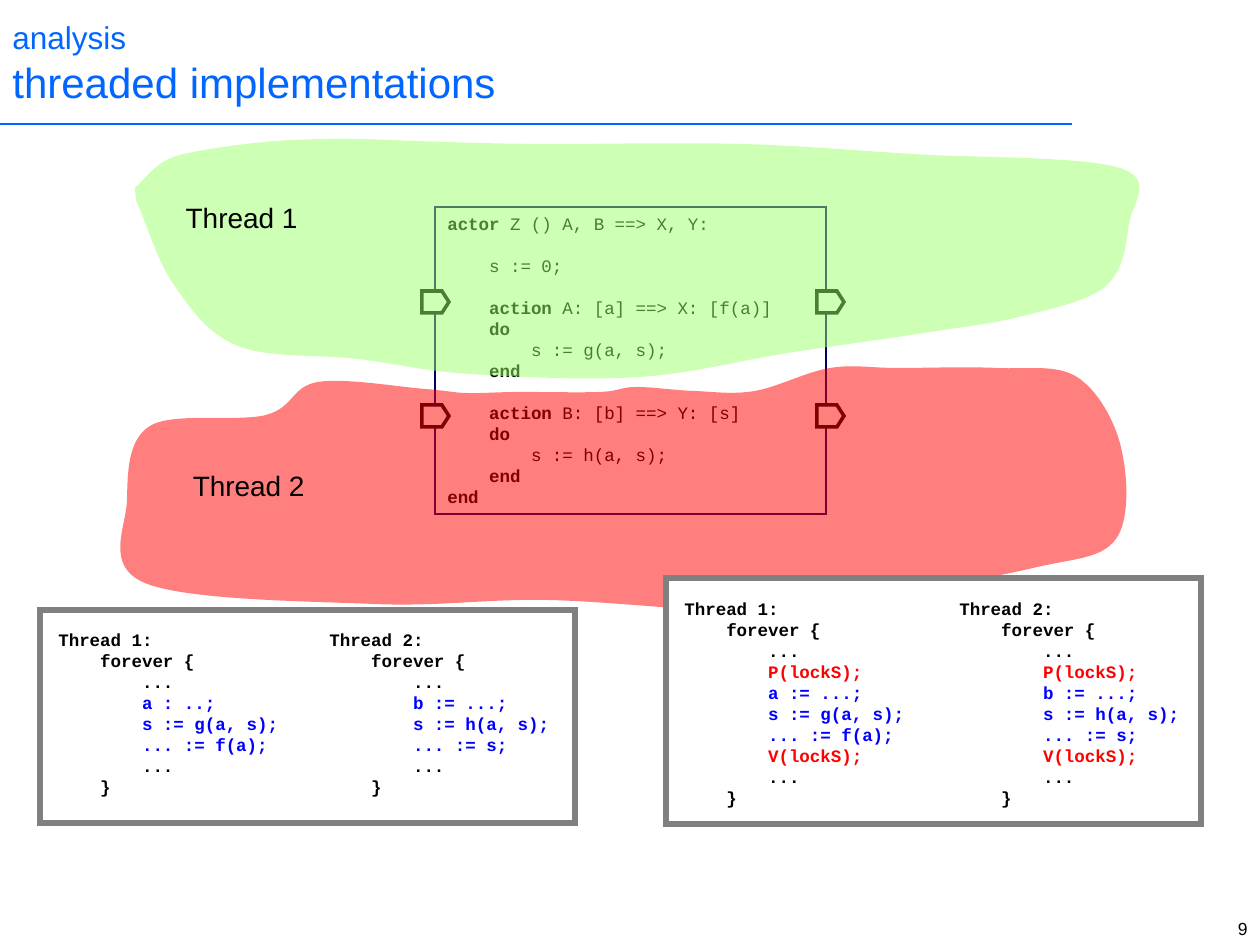
from dataclasses import dataclass
from typing import Any, NamedTuple, Optional

from lxml.etree import SubElement
from pptx import Presentation
from pptx.dml.color import RGBColor as Rgb
from pptx.enum.shapes import MSO_CONNECTOR as Connector, MSO_SHAPE as Preset
from pptx.enum.text import MSO_ANCHOR as Anchor, MSO_AUTO_SIZE as AutoSize, PP_ALIGN as Align
from pptx.oxml.ns import qn
from pptx.slide import Slide
from pptx.util import Emu, Pt


@dataclass(frozen=True)
class Theme:
    """Colours, fonts and sizes used on the slide."""

    accent: str = "0066FF"
    ink: str = "000000"
    paper: str = "FFFFFF"
    actor_line: str = "000066"
    frame_line: str = "808080"
    green: str = "99FF66"
    red: str = "FF0000"
    blue: str = "0000FF"
    sans: str = "Arial"
    mono: str = "Courier New"
    overline_size: float = 18
    title_size: float = 24
    label_size: float = 16
    small_size: float = 10
    code_pitch: float = 12


THEME = Theme()
PX = 914400 / 126


class Run(NamedTuple):
    """A stretch of text in one format."""

    text: str
    color: str = THEME.ink
    bold: bool = False
    font: str = THEME.mono
    size: float = THEME.small_size


class Line(NamedTuple):
    """One paragraph, with the space above it in points."""

    runs: tuple[Run, ...]
    before: float = 0
    pitch: Optional[float] = None
    align: Align = Align.LEFT


class Box(NamedTuple):
    """A preset shape placed in px, with its fill and outline."""

    left: int
    top: int
    width: int
    height: int
    fill: Optional[str] = None
    outline: Optional[str] = None
    weight: float = 0
    preset: Preset = Preset.RECTANGLE


class Blob(NamedTuple):
    """A smooth region through its anchor points."""

    color: str
    opacity: int
    closed: bool
    anchors: tuple[tuple[int, int], ...]


def px(value: float) -> Emu:
    """Turn px into EMU."""
    return Emu(round(value * PX))


def apply(target: Any, formats: dict[str, Any]) -> None:
    """Set each format value on the target."""
    for name, value in formats.items():
        setattr(target, name, value)


def draw_box(slide: Slide, box: Box) -> Any:
    """Draw a preset shape with mitred corners."""
    shape = slide.shapes.add_shape(box.preset, *map(px, box[:4]))
    shape.shadow.inherit = False
    shape.fill.solid()
    shape.fill.fore_color.rgb = Rgb.from_string(box.fill)
    if box.outline:
        shape.line.color.rgb = Rgb.from_string(box.outline)
        shape.line.width = Pt(box.weight)
        SubElement(shape._element.spPr.find(qn("a:ln")), qn("a:miter")).set("lim", "800000")
    else:
        shape.line.fill.background()
    return shape


def write(shape: Any, lines: list[Line], **formats: Any) -> None:
    """Write lines into a shape."""
    frame = shape.text_frame
    apply(frame, {"word_wrap": True, "auto_size": AutoSize.NONE,
                  "vertical_anchor": Anchor.TOP, **formats})
    for index, line in enumerate(lines):
        paragraph = frame.add_paragraph() if index else frame.paragraphs[0]
        apply(paragraph, {"alignment": line.align, "space_before": Pt(line.before),
                          "line_spacing": Pt(line.pitch) if line.pitch else None})
        for part in line.runs:
            run = paragraph.add_run()
            run.text = part.text
            apply(run.font, {"name": part.font, "size": Pt(part.size), "bold": part.bold})
            run.font.color.rgb = Rgb.from_string(part.color)


def draw_text(slide: Slide, box: Box, lines: list[Line], **formats: Any) -> None:
    """Draw a text box."""
    write(slide.shapes.add_textbox(*map(px, box[:4])), lines, **formats)


def draw_blob(slide: Slide, blob: Blob) -> None:
    """Draw a translucent region bounded by Catmull-Rom curves."""
    points = list(blob.anchors)
    if blob.closed:
        points = [points[-1], *points, *points[:2]]
    else:
        first, second, *_, previous, last = points
        points = [tuple(2 * a - b for a, b in zip(first, second)), *points,
                  tuple(2 * a - b for a, b in zip(last, previous))]
    stops = [tuple(map(px, point)) for point in points[1:-1]]
    builder = slide.shapes.build_freeform(*stops[0])
    builder.add_line_segments(stops[1:], close=blob.closed)
    shape = builder.convert_to_shape()
    apply(shape.shadow, {"inherit": False})
    shape.line.fill.background()
    shape.fill.solid()
    shape.fill.fore_color.rgb = Rgb.from_string(blob.color)
    properties = shape._element.spPr
    SubElement(properties.find(qn("a:solidFill"))[0], qn("a:alpha")).set("val", str(blob.opacity * 1000))
    segments = list(properties.iter(qn("a:lnTo")))
    for segment, *corners in zip(segments, points, points[1:], points[2:], points[3:]):
        handles = [(b + (c - a) / 6, c - (d - b) / 6) for a, b, c, d in zip(*corners)]
        segment.tag = qn("a:cubicBezTo")
        for index, (x, y) in enumerate(zip(*handles)):
            handle = SubElement(segment, qn("a:pt"))
            handle.set("x", str(px(x) - shape.left))
            handle.set("y", str(px(y) - shape.top))
            segment.insert(index, handle)


def draw_rule(slide: Slide, right: int, top: int) -> None:
    """Draw the line below the title."""
    rule = slide.shapes.add_connector(Connector.STRAIGHT, 0, px(top), px(right), px(top))
    rule.line.color.rgb = Rgb.from_string(THEME.accent)
    rule.line.width = Pt(1)
    SubElement(rule._element.spPr, qn("a:effectLst"))


def sans(text: str, size: float, color: str = THEME.ink, align: Align = Align.LEFT) -> Line:
    """Make a line of plain text."""
    return Line((Run(text, color, False, THEME.sans, size),), align=align)


def actor_line(keyword: str, rest: str = "", skip: bool = False) -> Line:
    """Make a code line that opens with a bold keyword."""
    runs = (Run(keyword, bold=True), Run(rest))
    return Line(tuple(run for run in runs if run.text), THEME.code_pitch * skip, THEME.code_pitch)


def thread_lines(number: int, steps: tuple[str, ...], locked: bool) -> list[Line]:
    """Make the loop of one thread, with its lock if there is one."""
    body = [(step, THEME.blue) for step in steps]
    if locked:
        body = [("P(lockS);", THEME.red), *body, ("V(lockS);", THEME.red)]
    dots = ("        ...", THEME.ink)
    rows = [(f"Thread {number}:", THEME.ink), ("    forever {", THEME.ink), dots,
            *((" " * 8 + text, color) for text, color in body), dots, ("    }", THEME.ink)]
    return [Line((Run(text, color, True),), pitch=THEME.code_pitch) for text, color in rows]


ACTOR = [
    actor_line("actor", " Z () A, B ==> X, Y:"), actor_line("", "    s := 0;", True),
    actor_line("    action", " A: [a] ==> X: [f(a)]", True), actor_line("    do"),
    actor_line("", "        s := g(a, s);"), actor_line("    end"),
    actor_line("    action", " B: [b] ==> Y: [s]", True), actor_line("    do"),
    actor_line("", "        s := h(a, s);"), actor_line("    end"), actor_line("end"),
]
BLOBS = (
    Blob(THEME.green, 49, False, (
        (136, 200), (174, 285), (238, 346), (358, 359), (470, 374), (640, 377), (788, 353),
        (924, 333), (1023, 316), (1106, 286), (1129, 224), (1120, 168), (911, 154), (740, 144),
        (542, 144), (442, 142), (353, 139), (277, 141), (205, 150), (165, 161), (135, 188))),
    Blob(THEME.red, 50, True, (
        (425, 389), (318, 382), (266, 415), (150, 426), (127, 501), (145, 583), (373, 604),
        (547, 600), (745, 611), (873, 597), (1033, 568), (1116, 539), (1121, 447), (1077, 377),
        (997, 368), (898, 368), (830, 368), (755, 391), (694, 391), (636, 387), (600, 392),
        (518, 392), (466, 393))),
)
LABELS = {"Thread 1": Box(173, 194, 137, 47), "Thread 2": Box(180, 462, 137, 47)}
FRAMES = (Box(40, 610, 535, 213, THEME.paper, THEME.frame_line, 3),
          Box(666, 578, 535, 246, THEME.paper, THEME.frame_line, 3))
SNIPPETS = (
    (Box(672, 592, 248, 223, THEME.paper), 1, ("a := ...;", "s := g(a, s);", "... := f(a);"), True),
    (Box(947, 592, 248, 223, THEME.paper), 2, ("b := ...;", "s := h(a, s);", "... := s;"), True),
    (Box(46, 623, 248, 181, THEME.paper), 1, ("a : ..;", "s := g(a, s);", "... := f(a);"), False),
    (Box(317, 623, 248, 181, THEME.paper), 2, ("b := ...;", "s := h(a, s);", "... := s;"), False),
)


def main() -> None:
    """Build the slide and save it."""
    presentation = Presentation()
    apply(presentation, {"slide_width": px(1260), "slide_height": px(945)})
    slide = presentation.slides.add_slide(presentation.slide_layouts[6])
    draw_rule(slide, 1072, 124)
    draw_text(slide, Box(0, 0, 1090, 125), [sans("analysis", THEME.overline_size, THEME.accent),
              sans("threaded implementations", THEME.title_size, THEME.accent)], vertical_anchor=Anchor.MIDDLE)
    write(draw_box(slide, Box(435, 207, 391, 307, THEME.paper, THEME.actor_line, 1.5)), ACTOR)
    for left in (422, 817):
        for top in (291, 405):
            port = draw_box(slide, Box(left, top, 27, 22, THEME.paper, THEME.ink, 2, Preset.PENTAGON))
            port.adjustments[0] = 0.32
    for blob in BLOBS:
        draw_blob(slide, blob)
    for text, box in LABELS.items():
        draw_text(slide, box, [sans(text, THEME.label_size, align=Align.RIGHT)], word_wrap=False)
    for frame in FRAMES:
        draw_box(slide, frame)
    for box, number, steps, locked in SNIPPETS:
        write(draw_box(slide, box), thread_lines(number, steps, locked))
    draw_text(slide, Box(1143, 912, 117, 29), [sans("9", THEME.small_size, align=Align.RIGHT)])
    presentation.save("out.pptx")


if __name__ == "__main__":
    main()
